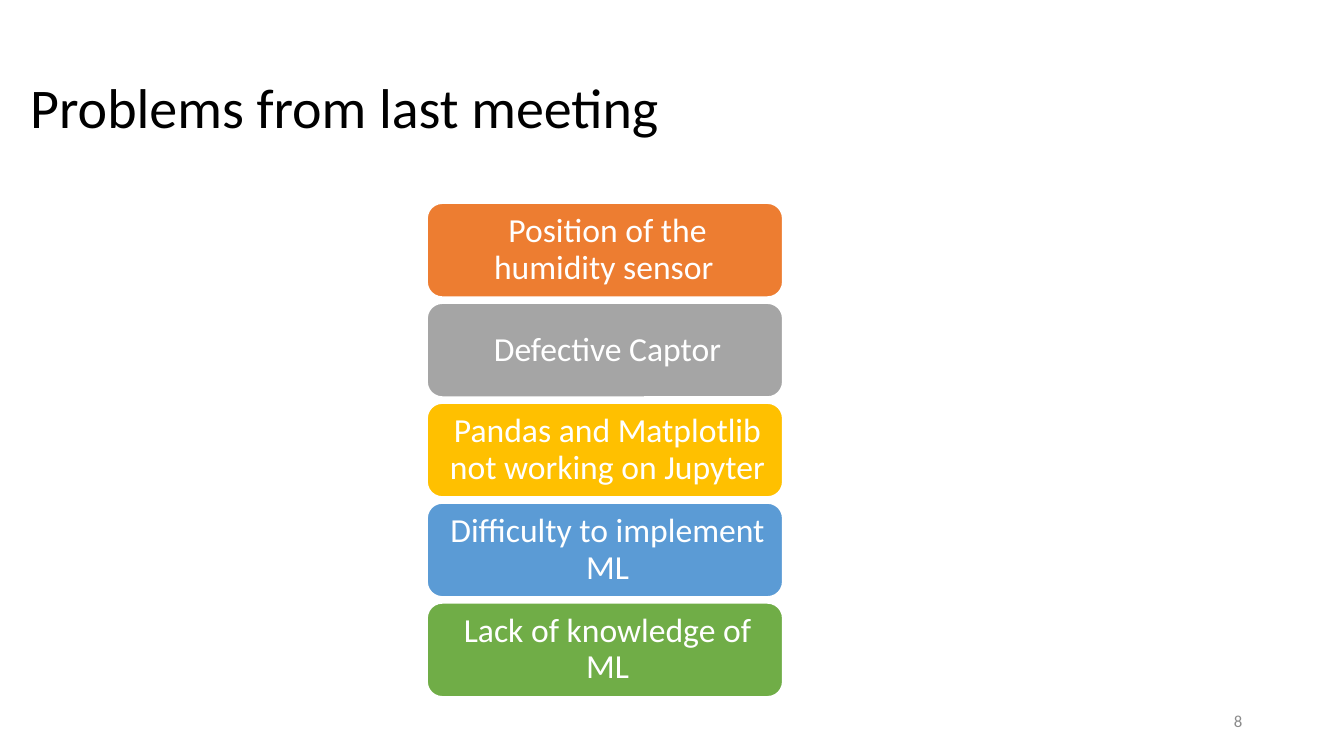
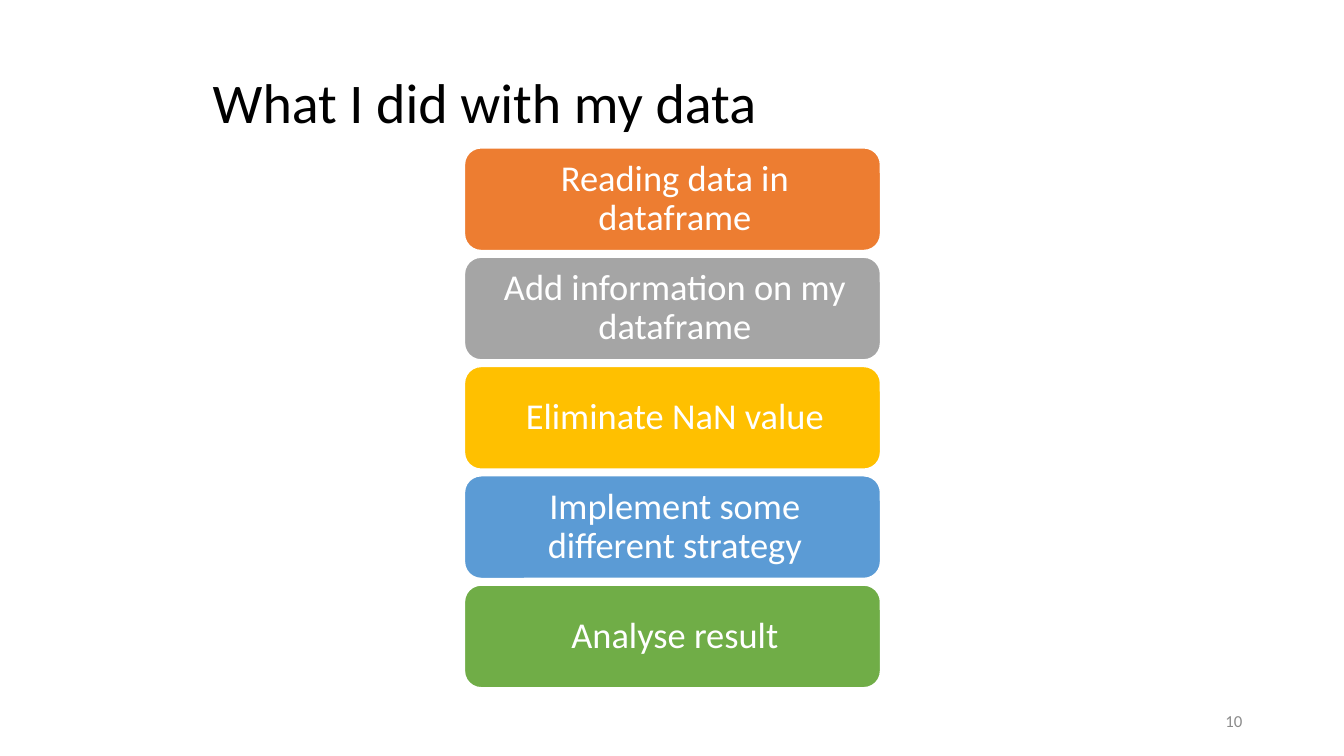
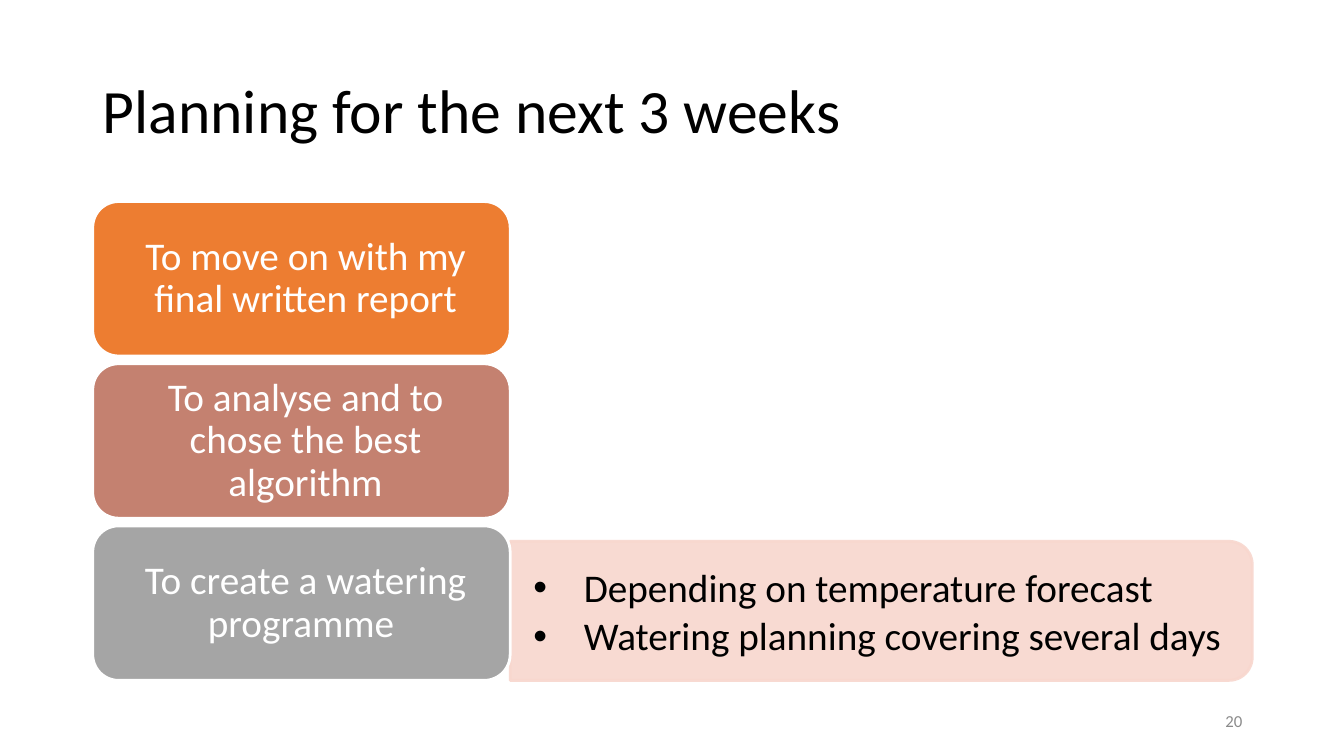
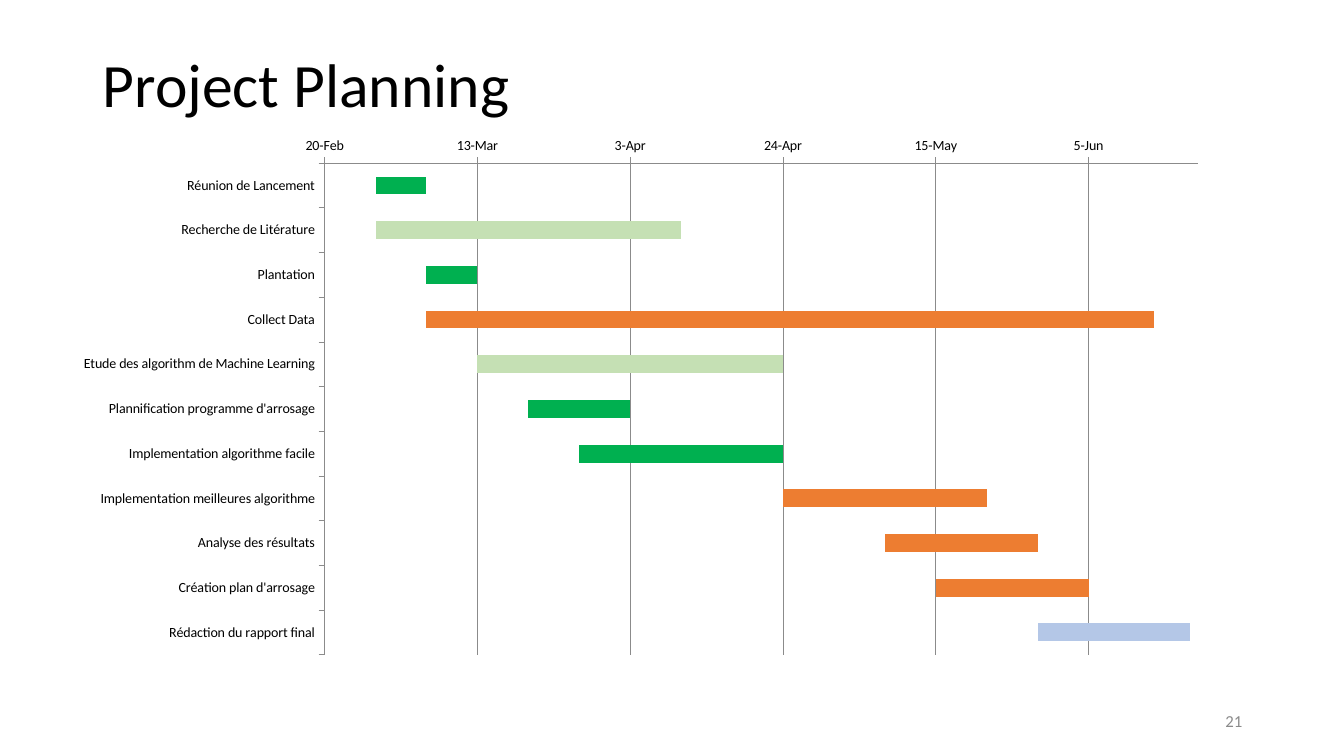
from lxml import etree
from pptx import Presentation
from pptx.chart.data import CategoryChartData
from pptx.dml.color import RGBColor
from pptx.enum.chart import XL_CHART_TYPE as ChartType, XL_TICK_MARK as TickMark
from pptx.enum.shapes import MSO_SHAPE as Preset
from pptx.enum.text import MSO_ANCHOR as Anchor, MSO_AUTO_SIZE as AutoSize, PP_ALIGN as Align
from pptx.oxml import parse_xml
from pptx.oxml.ns import nsdecls, qn
from pptx.util import Inches, Pt

FONT = "Calibri"
BLACK, WHITE, GREY = "000000", "FFFFFF", "8B8B8B"
ORANGE, SILVER, GOLD, BLUE, GREEN = "ED7D31", "A5A5A5", "FFC000", "5B9BD5", "70AD47"
CLAY, PINK = "C48170", "F8D7CE"
DONE, STUDY, ONGOING, REPORT = "00B050", "C5E0B4", ORANGE, "B4C7E7"
FIVE_COLOURS = [ORANGE, SILVER, GOLD, BLUE, GREEN]
GAP_RATIO = 0.05
TITLE_ONLY, TITLE_AND_BODY = 5, 1

PROBLEMS = [
    "Position of the humidity sensor ",
    "Defective Captor",
    "Pandas and Matplotlib not working on Jupyter",
    "Difficulty to implement ML",
    "Lack of knowledge of ML",
]
DATA_STEPS = [
    "Reading data in dataframe",
    "Add information on my dataframe",
    "Eliminate NaN value",
    "Implement some different strategy",
    "Analyse result",
]
GOALS = [
    "To move on with my final written report",
    "To analyse and to chose the best algorithm",
    "To create a watering programme ",
]
WATERING_DETAILS = [
    "Depending on temperature forecast",
    "Watering planning covering several days",
]
TASKS = [
    ("Réunion de Lancement", 43523, 7, DONE),
    ("Recherche de Litérature", 43523, 42, STUDY),
    ("Plantation", 43530, 7, DONE),
    ("Collect Data", 43530, 100, ONGOING),
    ("Etude des algorithm de Machine Learning", 43537, 42, STUDY),
    ("Plannification programme d'arrosage", 43544, 14, DONE),
    ("Implementation algorithme facile", 43551, 28, DONE),
    ("Implementation meilleures algorithme", 43579, 28, ONGOING),
    ("Analyse des résultats", 43593, 21, ONGOING),
    ("Création plan d'arrosage", 43600, 21, ONGOING),
    ("Rédaction du rapport final", 43614, 21, REPORT),
]


def rgb(colour):
    return RGBColor.from_string(colour)


def inches(box):
    return [Inches(length) for length in box]


def place(part, box):
    part.left, part.top, part.width, part.height = inches(box)


def style_font(font, size, colour):
    font.name = FONT
    font.size = Pt(size)
    font.color.rgb = rgb(colour)


def style_runs(paragraph, size, colour):
    for run in paragraph.runs:
        style_font(run.font, size, colour)


def start_slide(prs, layout, title, title_box, size, number, anchor=Anchor.MIDDLE, spacing=0.9):
    slide = prs.slides.add_slide(prs.slide_layouts[layout])
    heading = slide.shapes.title
    place(heading, title_box)
    frame = heading.text_frame
    frame.text = title
    frame.auto_size = AutoSize.NONE
    frame.vertical_anchor = anchor
    paragraph = frame.paragraphs[0]
    paragraph.alignment = Align.LEFT
    paragraph.line_spacing = spacing
    style_runs(paragraph, size, BLACK)
    add_page_number(slide, number)
    return slide


def add_page_number(slide, number):
    frame = slide.shapes.add_textbox(*inches((9.42, 6.95, 3, 0.4))).text_frame
    frame.word_wrap = True
    frame.vertical_anchor = Anchor.MIDDLE
    frame.text = str(number)
    paragraph = frame.paragraphs[0]
    paragraph.alignment = Align.RIGHT
    style_runs(paragraph, 12, GREY)


def add_panel(slide, preset, box, fill, line):
    panel = slide.shapes.add_shape(preset, *inches(box))
    panel.shadow.inherit = False
    panel.adjustments[0] = 0.167
    panel.fill.solid()
    panel.fill.fore_color.rgb = rgb(fill)
    panel.line.color.rgb = rgb(line)
    panel.line.width = Pt(2)
    return panel


def add_stack(slide, box, labels, colours, size, insets):
    left, top, width, height = box
    count = len(labels)
    card_height = height / (count + GAP_RATIO * (count - 1))
    pitch = card_height * (1 + GAP_RATIO)
    for row, (label, colour) in enumerate(zip(labels, colours)):
        card_box = (left, top + row * pitch, width, card_height)
        card = add_panel(slide, Preset.ROUNDED_RECTANGLE, card_box, colour, WHITE)
        frame = card.text_frame
        frame.word_wrap = True
        frame.vertical_anchor = Anchor.MIDDLE
        frame.margin_left = Inches(insets[0])
        frame.margin_right = frame.margin_top = frame.margin_bottom = Inches(insets[1])
        frame.text = label
        paragraph = frame.paragraphs[0]
        paragraph.alignment = Align.CENTER
        paragraph.line_spacing = 0.9
        paragraph.space_after = Pt(0.35 * size)
        style_runs(paragraph, size, WHITE)


def add_detail_tab(slide, box):
    left, top, width, height = box
    upright = (left + (width - height) / 2, top + (height - width) / 2, height, width)
    tab = add_panel(slide, Preset.ROUND_2_SAME_RECTANGLE, upright, PINK, PINK)
    tab.rotation = 90
    for colour in tab._element.spPr.iter(qn("a:srgbClr")):
        etree.SubElement(colour, qn("a:alpha"), val="90000")


def fill_details(slide, box, details):
    body = slide.placeholders[1]
    place(body, box)
    slide.shapes._spTree.append(body._element)
    frame = body.text_frame
    frame.text = "\n".join(details)
    frame.auto_size = AutoSize.NONE
    frame.vertical_anchor = Anchor.TOP
    for paragraph in frame.paragraphs:
        properties = paragraph._p.get_or_add_pPr()
        properties.set("marL", str(Inches(0.5)))
        properties.set("indent", str(-Inches(0.5)))
        etree.SubElement(properties, qn("a:buFont"), typeface="Arial")
        etree.SubElement(properties, qn("a:buChar"), char="•")
        paragraph.line_spacing = 0.9
        paragraph.space_before = Pt(0)
        paragraph.space_after = Pt(4.3)
        style_runs(paragraph, 28, BLACK)


def style_axis(axis):
    axis.major_tick_mark = TickMark.OUTSIDE
    axis.minor_tick_mark = TickMark.NONE
    style_font(axis.tick_labels.font, 10, BLACK)
    style_line(axis.format.line)


def style_line(line):
    line.color.rgb = rgb(GREY)
    line.width = Pt(0.5)


def set_plot_area(chart, x, y, w, h):
    area = chart._chartSpace.chart.plotArea
    for layout in area.findall(qn("c:layout")):
        area.remove(layout)
    area.insert(0, parse_xml(
        f'<c:layout {nsdecls("c")}><c:manualLayout><c:layoutTarget val="inner"/>'
        '<c:xMode val="edge"/><c:yMode val="edge"/>'
        f'<c:x val="{x}"/><c:y val="{y}"/><c:w val="{w}"/><c:h val="{h}"/>'
        '</c:manualLayout></c:layout>'))


def add_gantt(slide, box, tasks):
    names, starts, durations, colours = zip(*tasks)
    data = CategoryChartData()
    data.categories = names
    data.add_series("Series 1", starts)
    data.add_series("Series 2", durations)
    chart = slide.shapes.add_chart(ChartType.BAR_STACKED, *inches(box), data).chart
    chart.has_legend = False
    chart.has_title = False
    style_font(chart.font, 10, BLACK)
    chart.font.name = "Arial"
    set_plot_area(chart, 0.227, 0.067, 0.753, 0.91)

    plot = chart.plots[0]
    plot.gap_width = 150
    plot.overlap = 100
    plot.vary_by_categories = False
    offset, duration = plot.series
    offset.format.fill.background()
    offset.format.line.fill.background()
    for index, colour in enumerate(colours):
        bar = duration.points[index].format
        bar.fill.solid()
        bar.fill.fore_color.rgb = rgb(colour)
        bar.line.fill.background()

    task_axis, date_axis = chart.category_axis, chart.value_axis
    style_axis(task_axis)
    style_axis(date_axis)
    task_axis.reverse_order = True
    task_axis.has_major_gridlines = False
    date_axis.minimum_scale = 43516
    date_axis.maximum_scale = 43636
    date_axis.major_unit = 21
    date_axis.tick_labels.number_format = r"d\-mmm;@"
    date_axis.tick_labels.number_format_is_linked = False
    date_axis.has_major_gridlines = True
    style_line(date_axis.major_gridlines.format.line)


def build_problems(prs):
    slide = start_slide(prs, TITLE_ONLY, "Problems from last meeting",
                        (0.2, 0.67, 7.88, 0.77), 40, 8, Anchor.TOP, 1.0)
    add_stack(slide, (4.23, 2.01, 3.54, 4.91), PROBLEMS, FIVE_COLOURS, 24, (0.15, 0.1))


def build_data_steps(prs):
    slide = start_slide(prs, TITLE_ONLY, "What I did with my data",
                        (2.01, 0.62, 6.86, 0.77), 40, 10, Anchor.TOP, 1.0)
    add_stack(slide, (4.6, 1.46, 4.14, 5.37), DATA_STEPS, FIVE_COLOURS, 26, (0.16, 0.11))


def build_next_weeks(prs):
    slide = start_slide(prs, TITLE_AND_BODY, "Planning for the next 3 weeks",
                        (0.92, 0.4, 11.5, 1.45), 44, 20)
    add_detail_tab(slide, (5.06, 5.37, 7.36, 1.38))
    add_stack(slide, (0.92, 2, 4.14, 4.75), GOALS, [ORANGE, CLAY, SILVER], 28, (0.21, 0.13))
    fill_details(slide, (5.19, 5.59, 7.2, 1.36), WATERING_DETAILS)


def build_project_plan(prs):
    slide = start_slide(prs, TITLE_ONLY, "Project Planning",
                        (0.92, 0.4, 11.5, 0.93), 44, 21)
    add_gantt(slide, (0.61, 1.26, 11.5, 5.36), TASKS)


def main():
    prs = Presentation()
    prs.slide_width, prs.slide_height = inches((13.33, 7.5))
    build_problems(prs)
    build_data_steps(prs)
    build_next_weeks(prs)
    build_project_plan(prs)
    prs.save("out.pptx")


if __name__ == "__main__":
    main()
